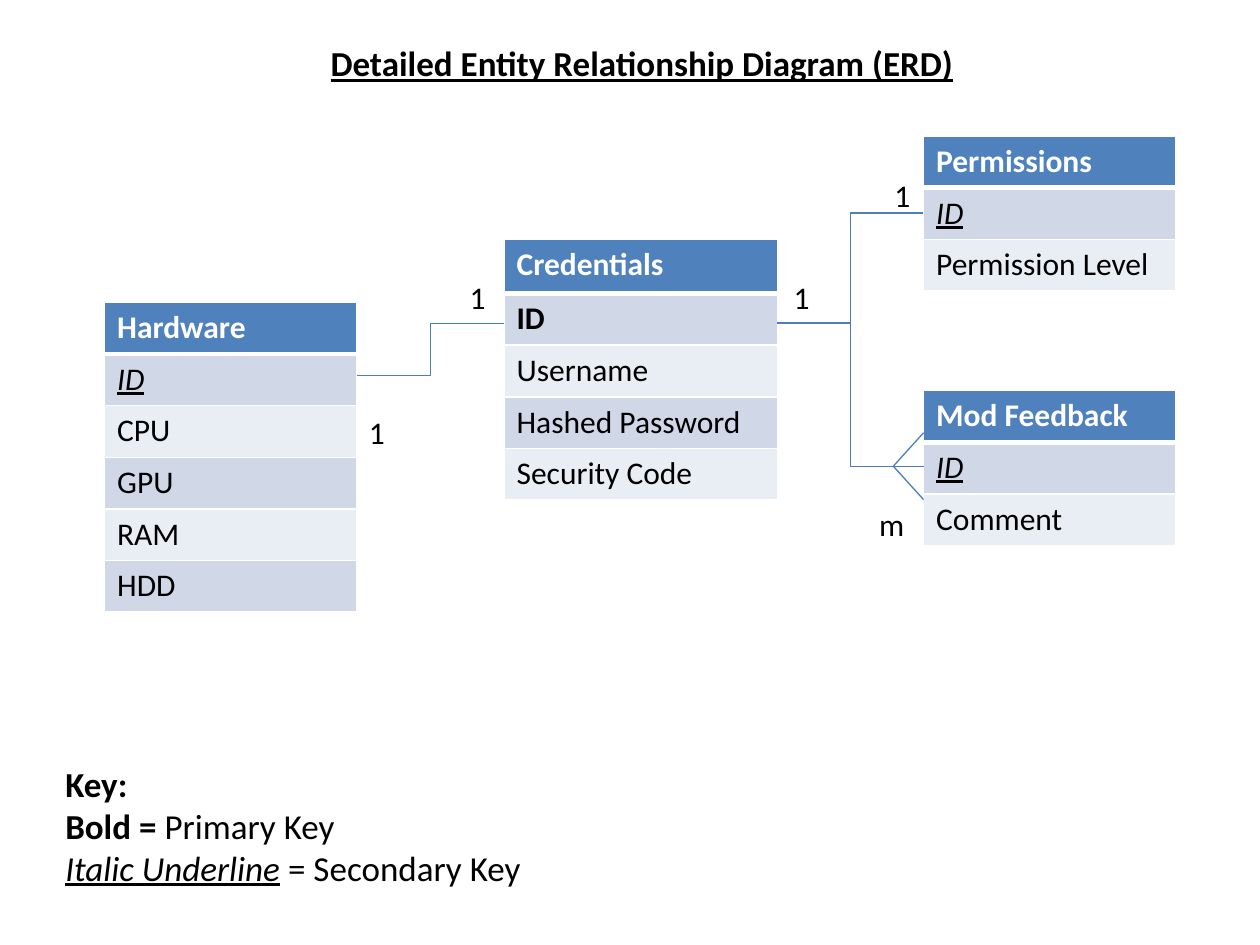
from lxml.etree import SubElement
from pptx import Presentation
from pptx.dml.color import RGBColor
from pptx.enum.shapes import MSO_CONNECTOR as Connector
from pptx.enum.text import MSO_ANCHOR as Anchor, MSO_AUTO_SIZE as AutoSize, PP_ALIGN as Align
from pptx.oxml.ns import qn
from pptx.util import Inches, Pt

FONT = "Calibri"
BLACK, WHITE = "000000", "FFFFFF"
HEADER_FILL, ODD_FILL, EVEN_FILL = "4F81BD", "D0D8E8", "E9EDF4"
LINE_COLOR = "4B7EBC"
ROW_HEIGHT = 0.41
PRIMARY_KEY = {"bold": True}
SECONDARY_KEY = {"italic": True, "underline": True}

ENTITIES = [
    ("Credentials", (4, 1.9, 2.17), 0.43, PRIMARY_KEY,
     ["ID", "Username", "Hashed Password", "Security Code"]),
    ("Hardware", (0.83, 2.4, 2), ROW_HEIGHT, SECONDARY_KEY,
     ["ID", "CPU", "GPU", "RAM", "HDD"]),
    ("Permissions", (7.33, 1.08, 2), ROW_HEIGHT, SECONDARY_KEY,
     ["ID", "Permission Level"]),
    ("Mod Feedback", (7.33, 3.1, 2), ROW_HEIGHT, SECONDARY_KEY,
     ["ID", "Comment"]),
]
RELATIONSHIPS = [
    ((2.83, 2.98), (4, 2.57)),
    ((7.33, 1.69), (6.17, 2.57)),
    ((6.17, 2.56), (7.33, 3.7)),
]
CARDINALITIES = [
    ("1", 3.63, 2.16, 0.33),
    ("1", 6.2, 2.16, 0.33),
    ("1", 2.83, 3.23, 0.33),
    ("1", 7, 1.35, 0.33),
    ("m", 6.88, 3.96, 0.4),
]
KEY_LINES = [
    [("Key:", PRIMARY_KEY)],
    [("Bold = ", PRIMARY_KEY), ("Primary Key", {})],
    [("Italic Underline", SECONDARY_KEY), (" = Secondary Key", {})],
]


def rgb(color):
    return RGBColor.from_string(color)


def format_run(run, size, color=BLACK, bold=False, italic=False, underline=False):
    font = run.font
    font.name, font.size, font.color.rgb = FONT, Pt(size), rgb(color)
    font.bold, font.italic, font.underline = bold, italic, underline


def add_title(slide, text, left, top, width, height):
    title = slide.shapes.title
    title.left, title.top = Inches(left), Inches(top)
    title.width, title.height = Inches(width), Inches(height)
    frame = title.text_frame
    frame.text = text
    frame.word_wrap = False
    frame.auto_size = AutoSize.NONE
    frame.vertical_anchor = Anchor.MIDDLE
    paragraph = frame.paragraphs[0]
    paragraph.alignment = Align.CENTER
    format_run(paragraph.runs[0], 20, bold=True, underline=True)


def set_borders(cell, top, bottom):
    properties = cell._tc.get_or_add_tcPr()
    for side, width in (("L", 1), ("R", 1), ("T", top), ("B", bottom)):
        line = SubElement(properties, qn(f"a:ln{side}"), w=str(Pt(width)))
        fill = SubElement(line, qn("a:solidFill"))
        SubElement(fill, qn("a:srgbClr"), val=WHITE)


def add_entity(slide, name, box, header_height, key_style, fields):
    left, top, width = box
    heights = [header_height] + [ROW_HEIGHT] * len(fields)
    table = slide.shapes.add_table(
        len(heights), 1, Inches(left), Inches(top), Inches(width), Inches(sum(heights))
    ).table
    for index, text in enumerate([name] + fields):
        table.rows[index].height = Inches(heights[index])
        cell = table.cell(index, 0)
        set_borders(cell, 3 if index == 1 else 1, 3 if index == 0 else 1)
        cell.fill.solid()
        cell.text_frame.text = text
        run = cell.text_frame.paragraphs[0].runs[0]
        if index == 0:
            cell.fill.fore_color.rgb = rgb(HEADER_FILL)
            format_run(run, 18, WHITE, bold=True)
        else:
            cell.fill.fore_color.rgb = rgb(ODD_FILL if index % 2 else EVEN_FILL)
            format_run(run, 18, **(key_style if index == 1 else {}))


def add_line(slide, kind, start, end):
    connector = slide.shapes.add_connector(kind, *map(Inches, start + end))
    connector.line.color.rgb = rgb(LINE_COLOR)
    connector.line.width = Pt(0.75)
    SubElement(connector._element.spPr, qn("a:effectLst"))


def add_crow_foot(slide, left, middle, width, height):
    for end_y in (middle - height / 2, middle + height / 2):
        add_line(slide, Connector.STRAIGHT, (left, middle), (left + width, end_y))


def add_text(slide, box, lines, size, wrap):
    frame = slide.shapes.add_textbox(*map(Inches, box)).text_frame
    frame.word_wrap = wrap
    for index, parts in enumerate(lines):
        paragraph = frame.add_paragraph() if index else frame.paragraphs[0]
        for text, style in parts:
            run = paragraph.add_run()
            run.text = text
            format_run(run, size, **style)


def main():
    presentation = Presentation()
    presentation.slide_width, presentation.slide_height = Inches(10), Inches(7.5)
    slide = presentation.slides.add_slide(presentation.slide_layouts[5])
    add_title(slide, "Detailed Entity Relationship Diagram (ERD)", 2.5, 0.28, 5.19, 0.44)
    for entity in ENTITIES:
        add_entity(slide, *entity)
    for start, end in RELATIONSHIPS:
        add_line(slide, Connector.ELBOW, start, end)
    add_crow_foot(slide, 7.09, 3.7, 0.24, 0.53)
    for text, left, top, width in CARDINALITIES:
        add_text(slide, (left, top, width, 0.4), [[(text, {})]], 18, False)
    add_text(slide, (0.42, 6, 4.17, 1.11), KEY_LINES, 20, True)
    presentation.save("out.pptx")


if __name__ == "__main__":
    main()
